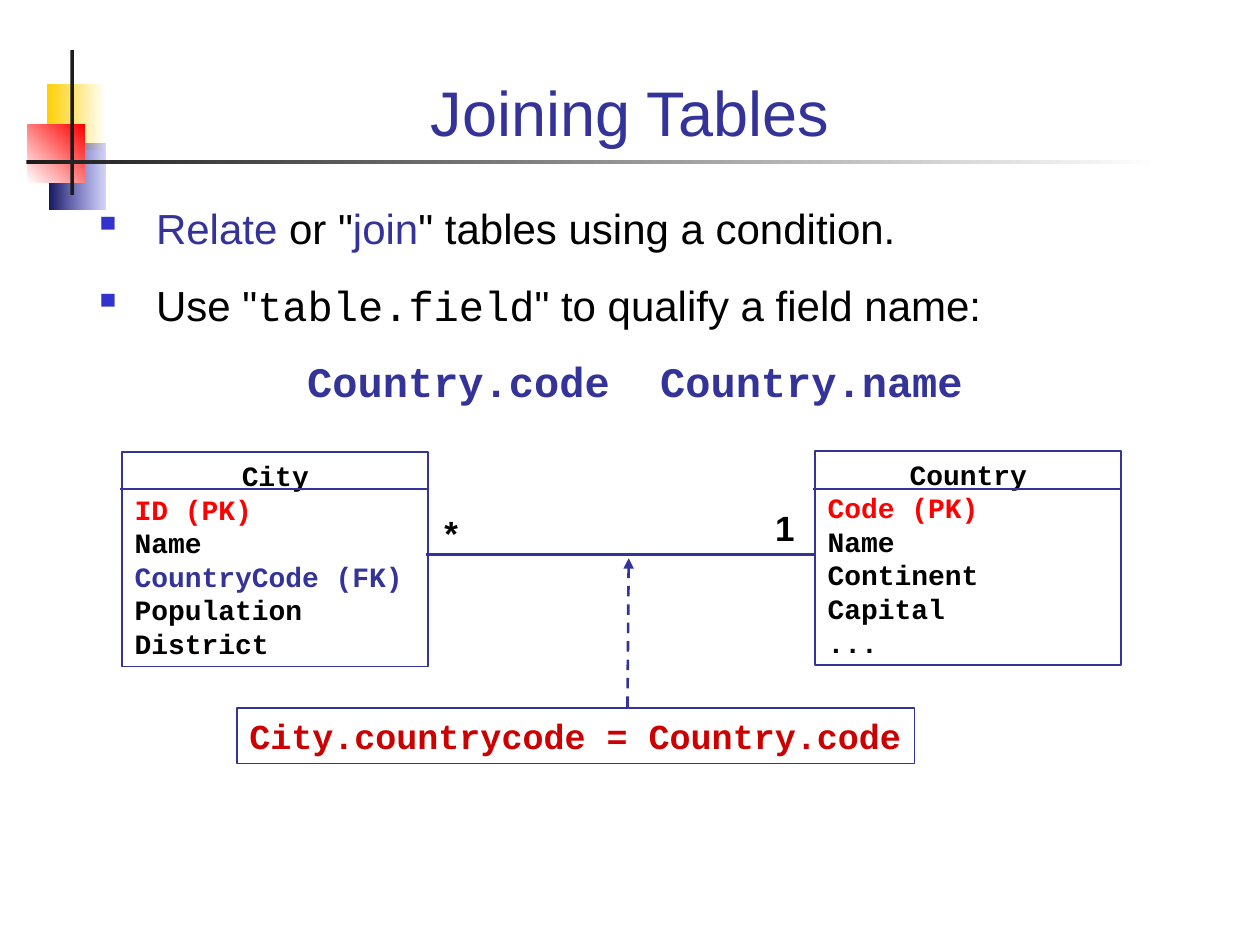
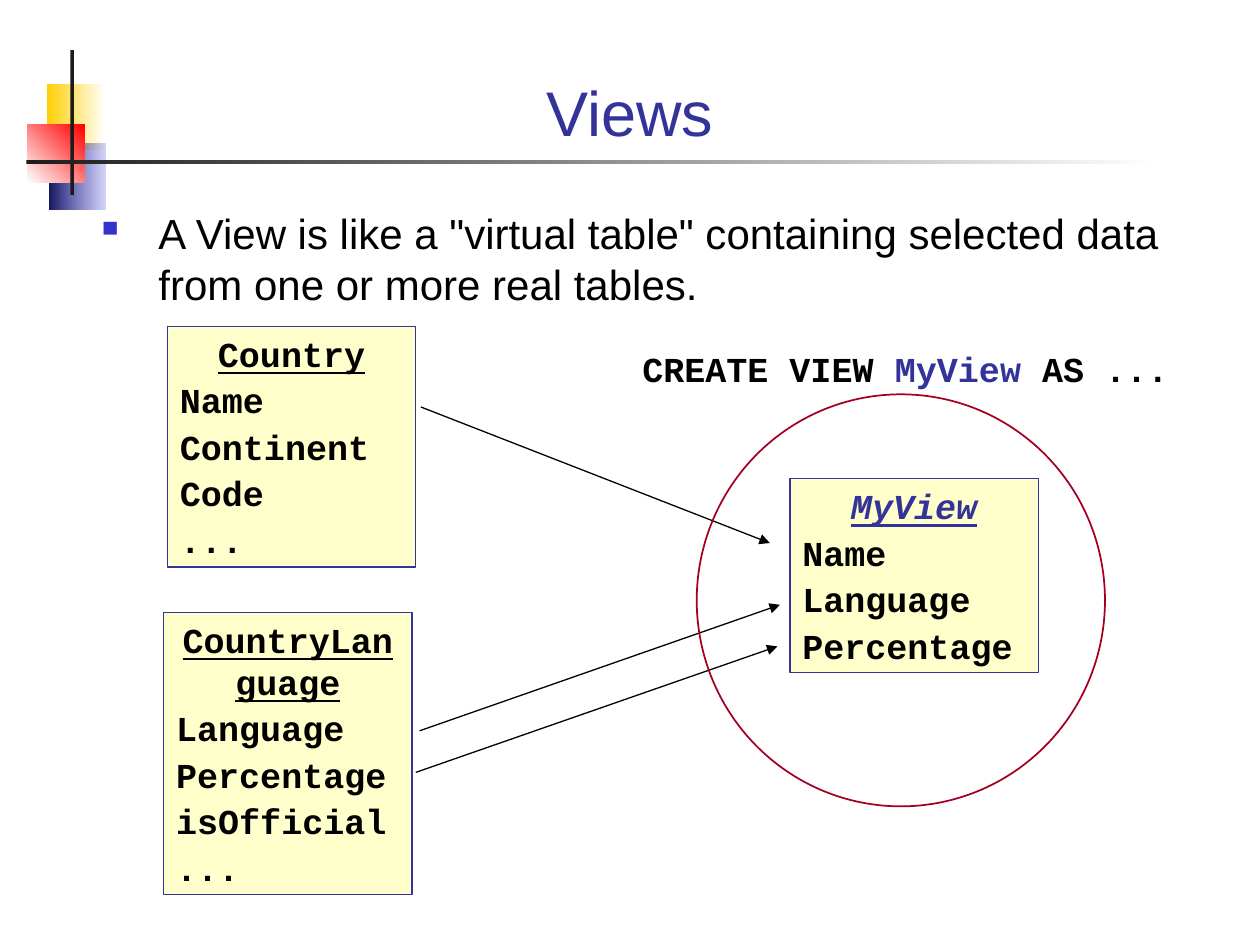
from lxml.etree import SubElement
from pptx import Presentation
from pptx.dml.color import RGBColor
from pptx.enum.dml import MSO_LINE
from pptx.enum.shapes import MSO_CONNECTOR, MSO_SHAPE
from pptx.enum.text import MSO_ANCHOR, PP_ALIGN
from pptx.oxml.ns import qn
from pptx.util import Inches, Pt

BLACK = RGBColor(0x00, 0x00, 0x00)
WHITE = RGBColor(0xFF, 0xFF, 0xFF)
CHARCOAL = RGBColor(0x1C, 0x1C, 0x1C)
INDIGO = RGBColor(0x33, 0x33, 0x99)
BLUE = RGBColor(0x33, 0x33, 0xCC)
NAVY = RGBColor(0x18, 0x18, 0x5E)
YELLOW = RGBColor(0xFF, 0xCF, 0x01)
RED = RGBColor(0xFF, 0x00, 0x00)
DARK_RED = RGBColor(0xCC, 0x00, 0x00)
CRIMSON = RGBColor(0xA5, 0x00, 0x21)
CREAM = RGBColor(0xFF, 0xFF, 0xCC)

SANS, MONO = "Arial", "Courier New"
LINE_PITCH = 1.2
BODY_WIDTH = 8.66

# Run formats
TITLE = dict(name=SANS, size=36, color=INDIGO)
BODY = dict(name=SANS, size=24, color=BLACK)
ACCENT = dict(BODY, color=INDIGO)
BODY_CODE = dict(BODY, name=MONO)
SAMPLE = dict(ACCENT, name=MONO, bold=True)
FIELD = dict(name=MONO, size=16, color=BLACK, bold=True)
KEY = dict(FIELD, color=RED)
FOREIGN = dict(FIELD, color=INDIGO)
CODE = dict(FIELD, size=20)
CODE_NAME = dict(CODE, color=INDIGO)
CONDITION = dict(CODE, color=DARK_RED)
HEADING = dict(CODE, underline=True)
VIEW_HEADING = dict(HEADING, color=INDIGO, italic=True)
COUNT = dict(CODE, name=SANS)

# Decoration: left, top, width, height, start, end, angle, end opacity in %
ORNAMENTS = [
    (0.37, 0.67, 0.47, 0.52, YELLOW, WHITE, 0, 100),
    (0.39, 1.14, 0.45, 0.52, NAVY, BLUE, 0, 20),
    (0.22, 0.99, 0.45, 0.46, WHITE, RED, 45, 100),
    (0.56, 0.40, 0.03, 1.15, CHARCOAL, CHARCOAL, 0, 100),
    (0.21, 1.27, 9.00, 0.03, CHARCOAL, WHITE, 0, 100),
]

# Slide 1
JOIN_POINTS = [
    [("Relate", ACCENT), (' or "', BODY), ("join", ACCENT),
     ('" tables using a condition.', BODY)],
    [('Use "', BODY), ("table.field", BODY_CODE),
     ('" to qualify a field name:', BODY)],
    [("Country.code  Country.name", SAMPLE)],
]
ENTITIES = [
    (0.97, 3.59, [("City", FIELD), ("ID (PK)", KEY), ("Name", FIELD),
                  ("CountryCode (FK)", FOREIGN), ("Population", FIELD),
                  ("District", FIELD)]),
    (6.47, 3.58, [("Country", FIELD), ("Code (PK)", KEY), ("Name", FIELD),
                  ("Continent", FIELD), ("Capital", FIELD), ("...", FIELD)]),
]
ENTITY_WIDTH, ENTITY_HEIGHT, HEADER_RULE = 2.43, 1.7, 3.88
MULTIPLICITIES = [("1", 6.02, 3.97), ("*", 3.37, 4.01)]
JOIN_CONDITION = "City.countrycode = Country.code"

# Slide 2
VIEW_POINTS = [
    [('A View is like a "virtual table" containing selected data '
      'from one or more real tables.', BODY)],
]
VIEW_TABLES = [
    (1.33, 2.59, 1.91, "Country", HEADING,
     ["Name", "Continent", "Code", "..."]),
    (1.30, 4.86, 2.24, "CountryLanguage", HEADING,
     ["Language", "Percentage", "isOfficial", "..."]),
    (6.27, 3.80, 1.54, "MyView", VIEW_HEADING,
     ["Name", "Language", "Percentage"]),
]
VIEW_TABLE_WIDTH = 1.97
FIELD_ARROWS = [
    ((3.34, 3.23), (6.11, 4.31)),
    ((3.33, 5.80), (6.19, 4.80)),
    ((3.30, 6.13), (6.17, 5.13)),
]
CREATE_VIEW = [("CREATE VIEW ", CODE), ("MyView", CODE_NAME), (" AS ...", CODE)]


def inches(*lengths):
    return [Inches(length) for length in lengths]


def write(frame, paragraphs, space=0, heading=False, align=PP_ALIGN.LEFT,
          anchor=MSO_ANCHOR.TOP, wrap=True):
    """Fill a frame with paragraphs, each a list of (text, format) runs."""
    frame.word_wrap = wrap
    frame.vertical_anchor = anchor
    for index, runs in enumerate(paragraphs):
        paragraph = frame.add_paragraph() if index else frame.paragraphs[0]
        centred = heading and index == 0
        paragraph.alignment = PP_ALIGN.CENTER if centred else align
        paragraph.space_before = Pt(space if index else 0)
        paragraph.line_spacing = Pt(LINE_PITCH * runs[0][1]["size"])
        for text, style in runs:
            run = paragraph.add_run()
            run.text = text
            for attribute, value in style.items():
                if attribute == "color":
                    run.font.color.rgb = value
                else:
                    setattr(run.font, attribute,
                            Pt(value) if attribute == "size" else value)


def add_text(slide, box, paragraphs, **layout):
    frame = slide.shapes.add_textbox(*inches(*box)).text_frame
    write(frame, paragraphs, **layout)
    return frame


def add_outline(slide, box, color, width, fill=None, kind=MSO_SHAPE.RECTANGLE):
    outline = slide.shapes.add_shape(kind, *inches(*box))
    outline.shadow.inherit = False
    if fill is None:
        outline.fill.background()
    else:
        outline.fill.solid()
        outline.fill.fore_color.rgb = fill
    outline.line.color.rgb = color
    outline.line.width = Pt(width)
    return outline


def add_line(slide, start, end, color, width, dash=None, arrow=False):
    line = slide.shapes.add_connector(MSO_CONNECTOR.STRAIGHT,
                                      *inches(*start, *end))
    line.line.color.rgb = color
    line.line.width = Pt(width)
    if dash:
        line.line.dash_style = dash
    if arrow:
        SubElement(line.get_or_add_ln(), qn("a:tailEnd"), type="triangle")
    SubElement(line.element.find(qn("p:spPr")), qn("a:effectLst"))


def add_ornament(slide, left, top, width, height, start, end, angle, opacity):
    ornament = slide.shapes.add_shape(MSO_SHAPE.RECTANGLE,
                                      *inches(left, top, width, height))
    ornament.shadow.inherit = False
    ornament.line.fill.background()
    ornament.fill.gradient()
    ornament.fill.gradient_angle = angle
    for stop, color in zip(ornament.fill.gradient_stops, (start, end)):
        stop.color.rgb = color
    if opacity < 100:
        last_color = list(ornament.element.iter(qn("a:srgbClr")))[-1]
        SubElement(last_color, qn("a:alpha"), val=str(opacity * 1000))


def indent(paragraph, left, first=0, bullet=False):
    properties = paragraph._p.get_or_add_pPr()
    properties.set("marL", str(Inches(left)))
    properties.set("indent", str(Inches(first)))
    if bullet:
        color = SubElement(properties, qn("a:buClr"))
        SubElement(color, qn("a:srgbClr"), val=str(BLUE))
        SubElement(properties, qn("a:buSzPct"), val="95000")
        SubElement(properties, qn("a:buChar"), char="▪")


def add_page(deck, title):
    """Add a slide with the shared ornaments and title."""
    slide = deck.slides.add_slide(deck.slide_layouts[6])
    for ornament in ORNAMENTS:
        add_ornament(slide, *ornament)
    add_text(slide, (0.67, 0.28, BODY_WIDTH, 0.95), [[(title, TITLE)]],
             align=PP_ALIGN.CENTER, anchor=MSO_ANCHOR.BOTTOM)
    return slide


def add_points(slide, left, top, height, points):
    frame = add_text(slide, (left, top, BODY_WIDTH, height), points, space=15)
    for paragraph, runs in zip(frame.paragraphs, points):
        if runs[0][1] is SAMPLE:
            indent(paragraph, 1.7)
        else:
            indent(paragraph, 0.5, -0.5, bullet=True)


def build_joining(deck):
    slide = add_page(deck, "Joining Tables")
    add_points(slide, 0.64, 1.56, 2.1, JOIN_POINTS)
    add_line(slide, (3.38, 4.4), (6.48, 4.4), INDIGO, 1.5)
    condition = add_outline(slide, (1.88, 5.62, 5.38, 0.44), INDIGO, 0.75)
    write(condition.text_frame, [[(JOIN_CONDITION, CONDITION)]], wrap=False)
    add_line(slide, (4.98, 5.61), (4.99, 4.43), INDIGO, 1.5,
             dash=MSO_LINE.DASH, arrow=True)
    for symbol, left, top in MULTIPLICITIES:
        add_text(slide, (left, top, 0.42, 0.44), [[(symbol, COUNT)]],
                 align=PP_ALIGN.CENTER)
    for left, top, fields in ENTITIES:
        entity = add_outline(slide, (left, top, ENTITY_WIDTH, ENTITY_HEIGHT),
                             INDIGO, 1)
        write(entity.text_frame, [[field] for field in fields], heading=True)
        add_line(slide, (left - 0.02, HEADER_RULE),
                 (left + ENTITY_WIDTH, HEADER_RULE), INDIGO, 0.75)


def build_views(deck):
    slide = add_page(deck, "Views")
    add_points(slide, 0.66, 1.6, 1.04, VIEW_POINTS)
    for left, top, height, name, style, fields in VIEW_TABLES:
        table_box = add_outline(slide, (left, top, VIEW_TABLE_WIDTH, height),
                                INDIGO, 0.75, CREAM)
        rows = [[(name, style)]] + [[(field, CODE)] for field in fields]
        write(table_box.text_frame, rows, space=2.5, heading=True)
    for start, end in FIELD_ARROWS:
        add_line(slide, start, end, BLACK, 0.75, arrow=True)
    add_outline(slide, (5.53, 3.13, 3.24, 3.27), CRIMSON, 1,
                kind=MSO_SHAPE.OVAL)
    add_text(slide, (5, 2.71, 4.46, 0.44), [CREATE_VIEW])


def main():
    deck = Presentation()
    deck.slide_width, deck.slide_height = inches(10, 7.5)
    build_joining(deck)
    build_views(deck)
    deck.save("out.pptx")


if __name__ == "__main__":
    main()
